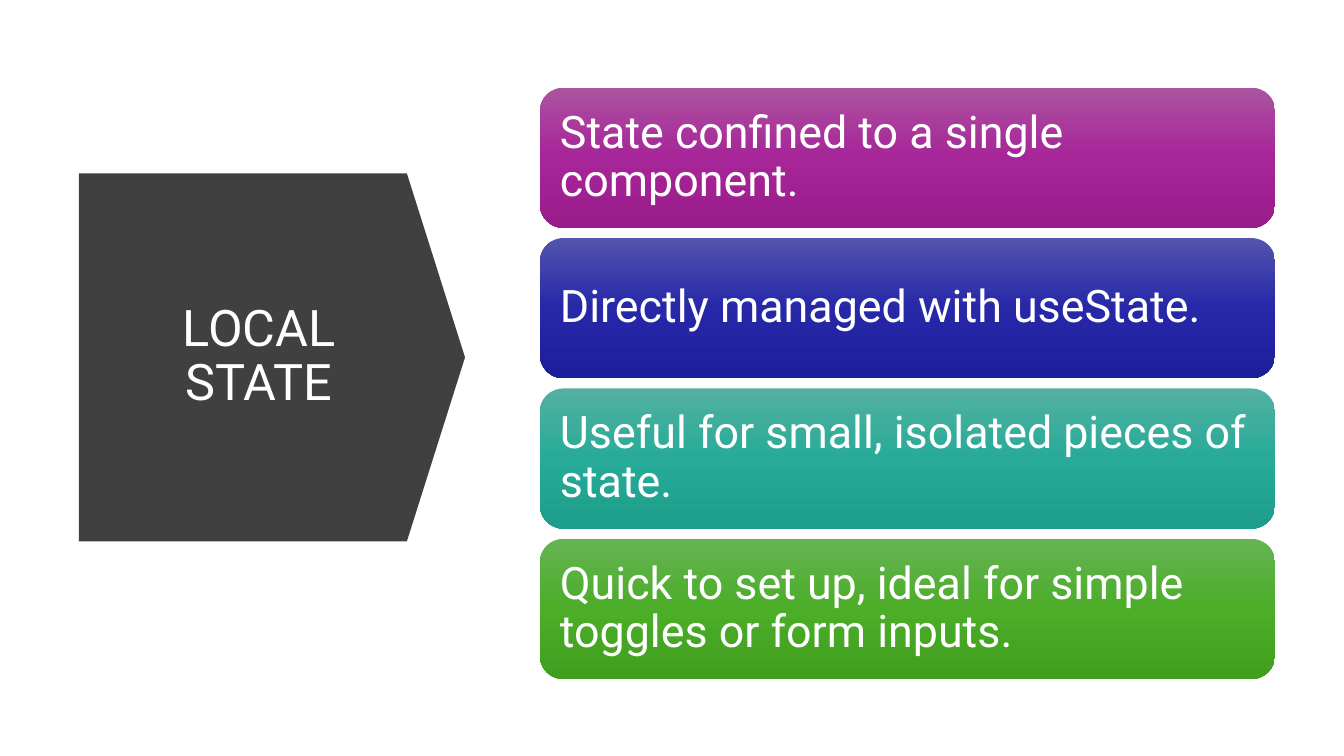
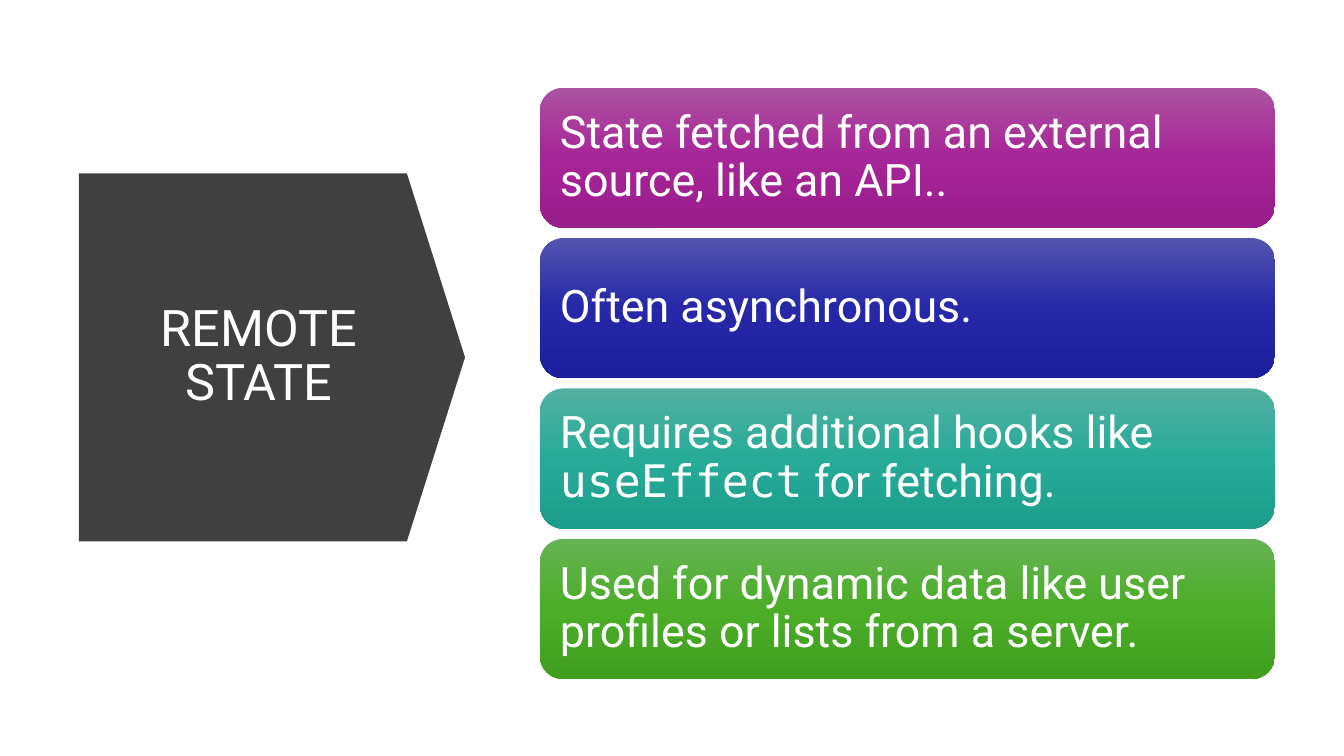
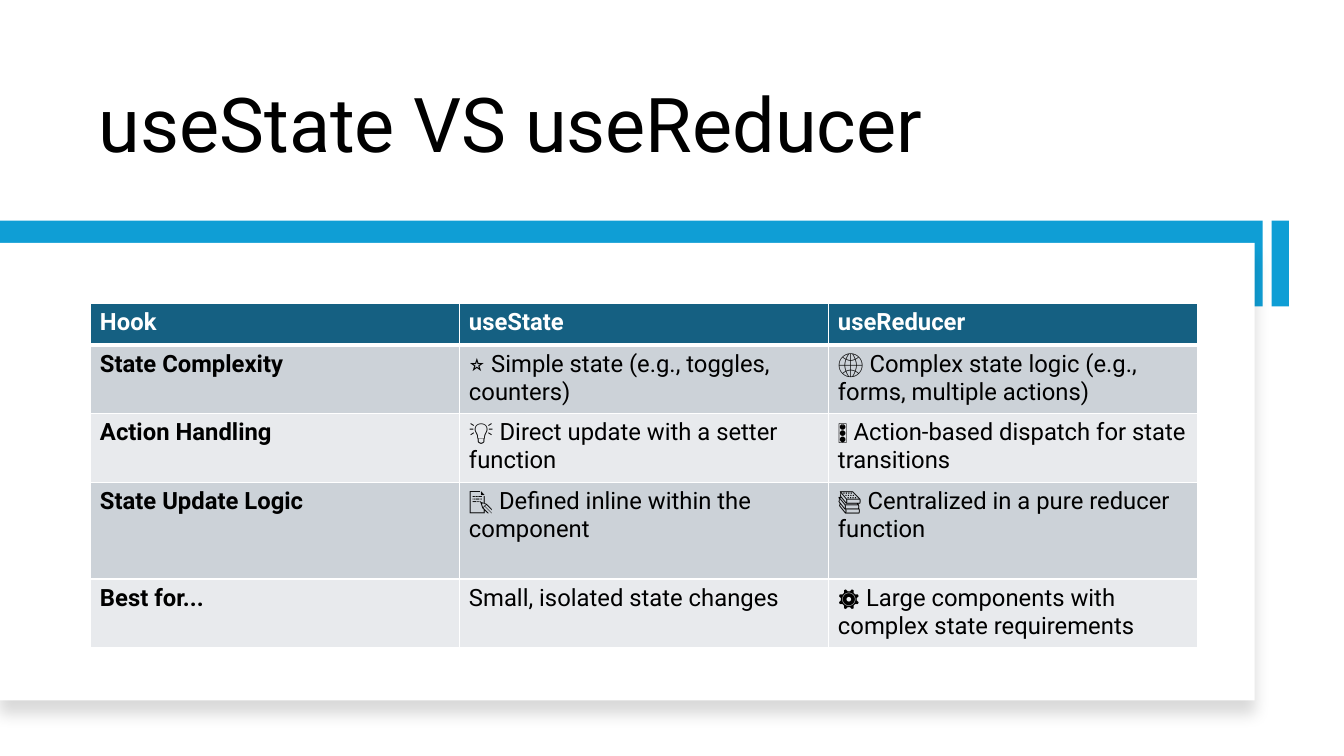
from copy import deepcopy

from lxml import etree
from pptx import Presentation
from pptx.dml.color import RGBColor
from pptx.enum.shapes import MSO_SHAPE
from pptx.enum.text import MSO_ANCHOR, PP_ALIGN
from pptx.oxml.ns import qn
from pptx.util import Cm, Pt

RECT, CARD, ARROW = MSO_SHAPE.RECTANGLE, MSO_SHAPE.ROUNDED_RECTANGLE, MSO_SHAPE.DOWN_ARROW
MIDDLE, BOTTOM, TOP = MSO_ANCHOR.MIDDLE, MSO_ANCHOR.BOTTOM, MSO_ANCHOR.TOP
LEFT, CENTER = PP_ALIGN.LEFT, PP_ALIGN.CENTER

WHITE = RGBColor(0xFF, 0xFF, 0xFF)
BLACK = RGBColor(0x00, 0x00, 0x00)
CHARCOAL = RGBColor(0x40, 0x40, 0x40)
SKY = RGBColor(0x0F, 0x9E, 0xD5)
HEADER_BLUE = RGBColor(0x15, 0x60, 0x82)
ROW_DARK = RGBColor(0xCC, 0xD2, 0xD8)
ROW_LIGHT = RGBColor(0xE8, 0xEA, 0xED)
CARD_GRADIENTS = [
    (RGBColor(0xAC, 0x53, 0xA0), RGBColor(0xA6, 0x25, 0x98), RGBColor(0x99, 0x1C, 0x8B)),
    (RGBColor(0x53, 0x54, 0xAE), RGBColor(0x26, 0x28, 0xA8), RGBColor(0x1D, 0x1E, 0x9B)),
    (RGBColor(0x53, 0xB0, 0xA1), RGBColor(0x27, 0xAB, 0x98), RGBColor(0x1D, 0x9D, 0x8B)),
    (RGBColor(0x66, 0xB3, 0x54), RGBColor(0x4B, 0xAD, 0x28), RGBColor(0x40, 0x9F, 0x1E)),
]

BODY_FONT, CODE_FONT = "Roboto", "DejaVu Sans Mono"
CARD_FRAME = {"word_wrap": True, "vertical_anchor": MIDDLE, "margin_left": Cm(0.33),
              "margin_right": Cm(0.33), "margin_top": Cm(0.33), "margin_bottom": Cm(0.33)}
CELL_MARGINS = {"margin_left": Cm(0.23), "margin_right": Cm(0.23), "margin_top": Cm(0.13),
                "margin_bottom": Cm(0.13), "vertical_anchor": TOP}

STATE_SLIDES = [
    ("LOCAL STATE", [
        [("State confined to a single component.", BODY_FONT)],
        [("Directly managed with useState.", BODY_FONT)],
        [("Useful for small, isolated pieces of state.", BODY_FONT)],
        [("Quick to set up, ideal for simple toggles or form inputs.", BODY_FONT)],
    ]),
    ("REMOTE STATE", [
        [("State fetched from an external source, like an API..", BODY_FONT)],
        [("Often asynchronous.", BODY_FONT)],
        [("Requires additional hooks like ", BODY_FONT), ("useEffect", CODE_FONT),
         (" for fetching.", BODY_FONT)],
        [("Used for dynamic data like user profiles or lists from a server.", BODY_FONT)],
    ]),
]
HOOK_ROWS = [
    ("Hook", "useState", "useReducer"),
    ("State Complexity", "⭐️ Simple state (e.g., toggles, counters)",
     "🌐 Complex state logic (e.g., forms, multiple actions)"),
    ("Action Handling", "💡 Direct update with a setter function",
     "🚦 Action-based dispatch for state transitions"),
    ("State Update Logic", "📝 Defined inline within the component",
     "📚 Centralized in a pure reducer function"),
    ("Best for...", "Small, isolated state changes",
     "⚙️ Large components with complex state requirements"),
]
ROW_HEIGHTS = [1.04, 1.73, 1.73, 2.44, 1.73]


def apply(target, values):
    for name, value in values.items():
        setattr(target, name, value)


def write(tf, runs, size, color, align=LEFT, spacing=0.9, bold=False):
    p = tf.paragraphs[0]
    apply(p, {"alignment": align, "line_spacing": spacing})
    for text, font in runs:
        r = p.add_run()
        r.text = text
        apply(r.font, {"name": font, "size": Pt(size), "bold": bold})
        r.font.color.rgb = color


def add_shape(slide, kind, box, color=None):
    s = slide.shapes.add_shape(kind, *map(Cm, box))
    s.shadow.inherit = False
    s.line.fill.background()
    if color is not None:
        s.fill.solid()
        s.fill.fore_color.rgb = color
    return s


def add_title(slide, box, text, size, color, anchor, align=LEFT):
    tf = slide.shapes.add_textbox(*map(Cm, box)).text_frame
    apply(tf, {"word_wrap": True, "vertical_anchor": anchor})
    write(tf, [(text, BODY_FONT)], size, color, align)


def add_arrow_title(slide, box, text):
    x, y, w, h = box
    s = add_shape(slide, ARROW, (x + (w - h) / 2, y + (h - w) / 2, h, w), CHARCOAL)
    s.rotation = 270
    s.adjustments[0], s.adjustments[1] = 1, 0.158
    add_title(slide, (x + 0.88, y + 1.09, 7.32, h - 2.18), text, 36, WHITE, MIDDLE, CENTER)


def fill_gradient(s, colors):
    s.fill.gradient()
    s.fill.gradient_angle = 270
    gs_lst = s._element.spPr.find(".//" + qn("a:gsLst"))
    gs_lst.append(deepcopy(gs_lst[-1]))
    for stop, color, position in zip(s.fill.gradient_stops, colors, (0, 0.5, 1)):
        stop.color.rgb = color
        stop.position = position


def add_cards(slide, box, cards, gap=0.26):
    x, y, w, h = box
    card_h = (h - gap * (len(cards) - 1)) / len(cards)
    for i, (runs, colors) in enumerate(zip(cards, CARD_GRADIENTS)):
        s = add_shape(slide, CARD, (x, y + i * (card_h + gap), w, card_h))
        fill_gradient(s, colors)
        apply(s.text_frame, CARD_FRAME)
        write(s.text_frame, runs, 32, WHITE)


def add_panel(slide, box):
    x, y, w, h = box
    band_y, band_h = y - 0.56, 2.16
    add_shape(slide, RECT, (x + w + 0.43, band_y, 0.43, band_h), SKY)
    add_shape(slide, RECT, (x, band_y, w + 0.2, band_h), SKY)
    s = add_shape(slide, RECT, box, WHITE)
    shadow = etree.SubElement(
        s._element.spPr.find(qn("a:effectLst")), qn("a:outerShdw"),
        blurRad=str(Pt(11)), dist=str(Pt(10)), dir="5400000", algn="t", rotWithShape="0")
    color = etree.SubElement(shadow, qn("a:srgbClr"), val=str(BLACK))
    etree.SubElement(color, qn("a:alpha"), val="15000")


def add_borders(cell, widths):
    tc_pr = cell._tc.get_or_add_tcPr()
    for side, width in zip("LRTB", widths):
        ln = etree.SubElement(tc_pr, qn("a:ln" + side), w=str(Pt(width)))
        fill = etree.SubElement(ln, qn("a:solidFill"))
        etree.SubElement(fill, qn("a:srgbClr"), val=str(WHITE))


def add_hook_table(slide, box):
    table = slide.shapes.add_table(len(HOOK_ROWS), len(HOOK_ROWS[0]), *map(Cm, box)).table
    for column in table.columns:
        column.width = Cm(box[2] / len(HOOK_ROWS[0]))
    for i, (texts, height) in enumerate(zip(HOOK_ROWS, ROW_HEIGHTS)):
        table.rows[i].height = Cm(height)
        header = i == 0
        fill = HEADER_BLUE if header else (ROW_LIGHT, ROW_DARK)[i % 2]
        for j, text in enumerate(texts):
            cell = table.cell(i, j)
            apply(cell, CELL_MARGINS)
            add_borders(cell, (1, 1, 3 if i == 1 else 1, 3 if header else 1))
            cell.fill.solid()
            cell.fill.fore_color.rgb = fill
            write(cell.text_frame, [(text, BODY_FONT)], 17, WHITE if header else BLACK,
                  spacing=1.0, bold=header or j == 0)


def add_state_slide(slide, title, cards):
    add_arrow_title(slide, (1.99, 4.37, 9.73, 9.27), title)
    add_cards(slide, (13.61, 2.21, 18.52, 14.9), cards)


def add_comparison_slide(slide):
    add_title(slide, (2.24, 1.07, 25.65, 3.3), "useState VS useReducer", 54, BLACK, BOTTOM)
    add_panel(slide, (0, 6.12, 31.62, 11.53))
    add_hook_table(slide, (2.29, 7.65, 27.9, sum(ROW_HEIGHTS)))


def main():
    prs = Presentation()
    apply(prs, {"slide_width": Cm(33.87), "slide_height": Cm(19.05)})
    blank = prs.slide_layouts[6]
    for title, cards in STATE_SLIDES:
        add_state_slide(prs.slides.add_slide(blank), title, cards)
    add_comparison_slide(prs.slides.add_slide(blank))
    prs.save("out.pptx")


if __name__ == "__main__":
    main()
